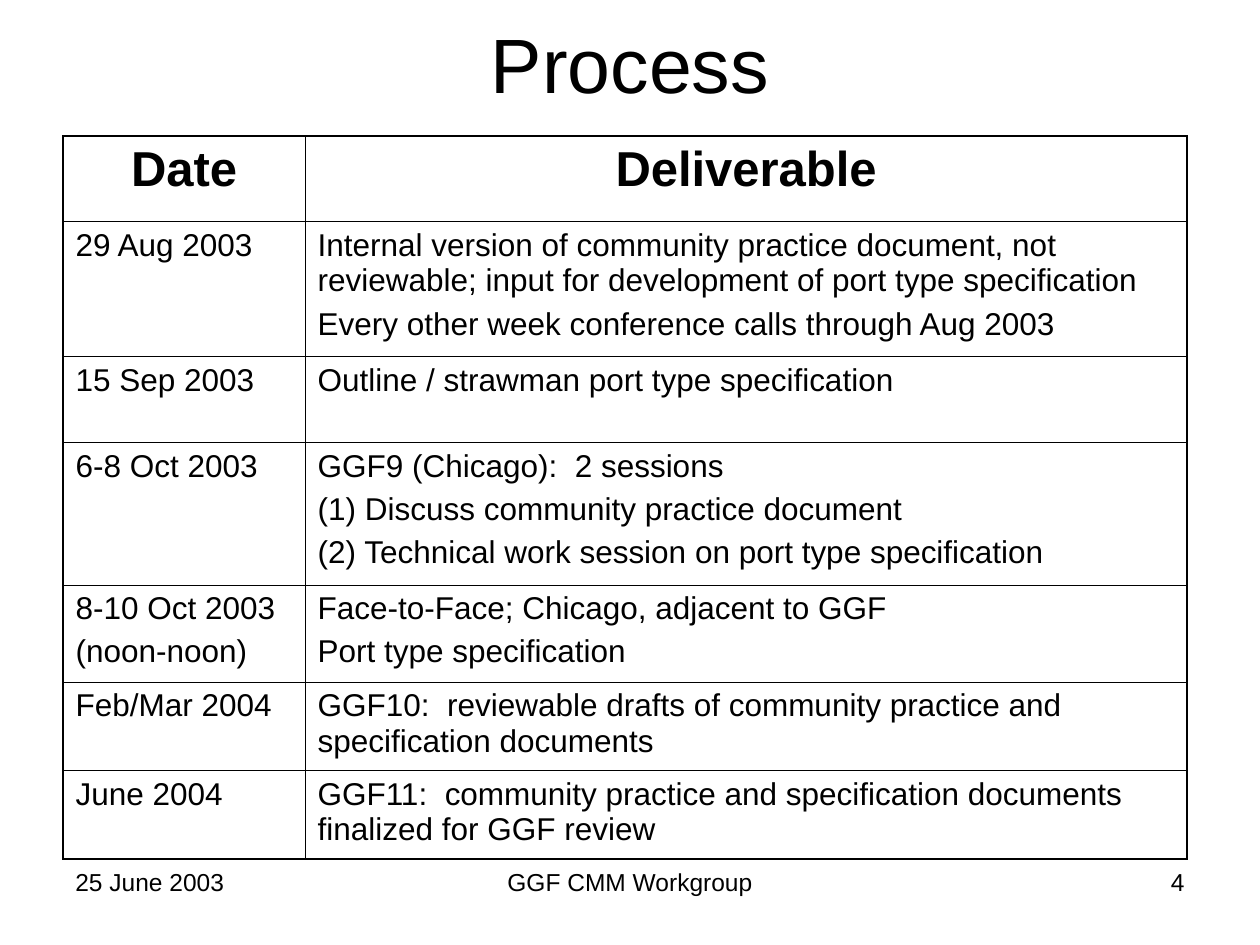
"""Build the Process slide: a table of dates and deliverables with a footer."""
from dataclasses import dataclass

from lxml import etree
from pptx import Presentation
from pptx import util as u
from pptx.dml.color import RGBColor
from pptx.enum import text
from pptx.oxml.ns import qn

TITLE = "Process"
HEADER = ("Date", "Deliverable")
SCHEDULE = [
    (["29 Aug 2003"],
     ["Internal version of community practice document, not reviewable; "
      "input for development of port type specification",
      "Every other week conference calls through Aug 2003"]),
    (["15 Sep 2003"], ["Outline / strawman port type specification"]),
    (["6-8 Oct 2003"],
     ["GGF9 (Chicago):  2 sessions",
      "(1) Discuss community practice document",
      "(2) Technical work session on port type specification"]),
    (["8-10 Oct 2003", "(noon-noon)"],
     ["Face-to-Face; Chicago, adjacent to GGF", "Port type specification"]),
    (["Feb/Mar 2004"],
     ["GGF10:  reviewable drafts of community practice and specification documents"]),
    (["June 2004"],
     ["GGF11:  community practice and specification documents finalized for GGF review"]),
]
COLUMN_WIDTHS = (4.88, 17.78)
ROW_HEIGHTS = (1.73, 2.72, 1.73, 2.87, 1.96, 1.78, 1.78)
LEFT, TABLE_TOP, FOOTER_TOP = 1.27, 2.74, 17.35
ALIGN = text.PP_ALIGN
FOOTER = [
    ("25 June 2003", LEFT, 5.92, ALIGN.LEFT),
    ("GGF CMM Workgroup", 8.68, 8.04, ALIGN.CENTER),
    ("4", 18.21, 5.92, ALIGN.RIGHT),
]


@dataclass(frozen=True)
class Theme:
    font: str = "Arial"
    ink: str = "000000"
    title: float = 44
    header: float = 28
    body: float = 18
    footer: float = 14
    gap: float = 4.5
    outer_line: float = 1.08
    inner_line: float = 0.45


THEME = Theme()


def write(frame, lines, size, align=ALIGN.LEFT, bold=False):
    frame.word_wrap = True
    for index, line in enumerate(lines):
        para = frame.paragraphs[0] if index == 0 else frame.add_paragraph()
        para.alignment = align
        if index:
            para.space_before = u.Pt(THEME.gap)
        span = para.add_run()
        span.text = line
        span.font.name = THEME.font
        span.font.size = u.Pt(size)
        span.font.bold = bold
        span.font.color.rgb = RGBColor.from_string(THEME.ink)


def draw_borders(cell, outer_sides):
    properties = cell._tc.get_or_add_tcPr()
    for side, is_outer in outer_sides.items():
        width = THEME.outer_line if is_outer else THEME.inner_line
        line = etree.SubElement(properties, qn(f"a:ln{side}"), w=str(int(u.Pt(width))))
        fill = etree.SubElement(line, qn("a:solidFill"))
        etree.SubElement(fill, qn("a:srgbClr"), val=THEME.ink)


def add_title(page):
    title = page.shapes.title
    title.left, title.top = u.Cm(LEFT), u.Cm(0)
    title.width, title.height = u.Cm(22.86), u.Cm(2.54)
    title.text_frame.auto_size = text.MSO_AUTO_SIZE.NONE
    title.text_frame.vertical_anchor = text.MSO_ANCHOR.MIDDLE
    write(title.text_frame, [TITLE], THEME.title, ALIGN.CENTER)


def add_schedule(page):
    rows = [tuple([label] for label in HEADER), *SCHEDULE]
    last_row, last_column = len(rows) - 1, len(HEADER) - 1
    table = page.shapes.add_table(
        len(rows), len(HEADER), u.Cm(LEFT), u.Cm(TABLE_TOP),
        u.Cm(sum(COLUMN_WIDTHS)), u.Cm(sum(ROW_HEIGHTS))).table
    table.first_row = table.horz_banding = False
    for column, width in zip(table.columns, COLUMN_WIDTHS):
        column.width = u.Cm(width)
    for r, (row, height) in enumerate(zip(rows, ROW_HEIGHTS)):
        table.rows[r].height = u.Cm(height)
        for c, lines in enumerate(row):
            cell = table.cell(r, c)
            draw_borders(cell, {"L": c == 0, "R": c == last_column,
                                "T": r == 0, "B": r == last_row})
            cell.fill.background()
            if r == 0:
                write(cell.text_frame, lines, THEME.header, ALIGN.CENTER, True)
            else:
                write(cell.text_frame, lines, THEME.body)


def add_footer(page):
    for label, left, width, align in FOOTER:
        box = page.shapes.add_textbox(u.Cm(left), u.Cm(FOOTER_TOP), u.Cm(width), u.Cm(1.32))
        write(box.text_frame, [label], THEME.footer, align)


def main():
    deck = Presentation()
    deck.slide_width, deck.slide_height = u.Cm(25.4), u.Cm(19.05)
    page = deck.slides.add_slide(deck.slide_layouts[5])
    add_title(page)
    add_schedule(page)
    add_footer(page)
    deck.save("out.pptx")


if __name__ == "__main__":
    main()
